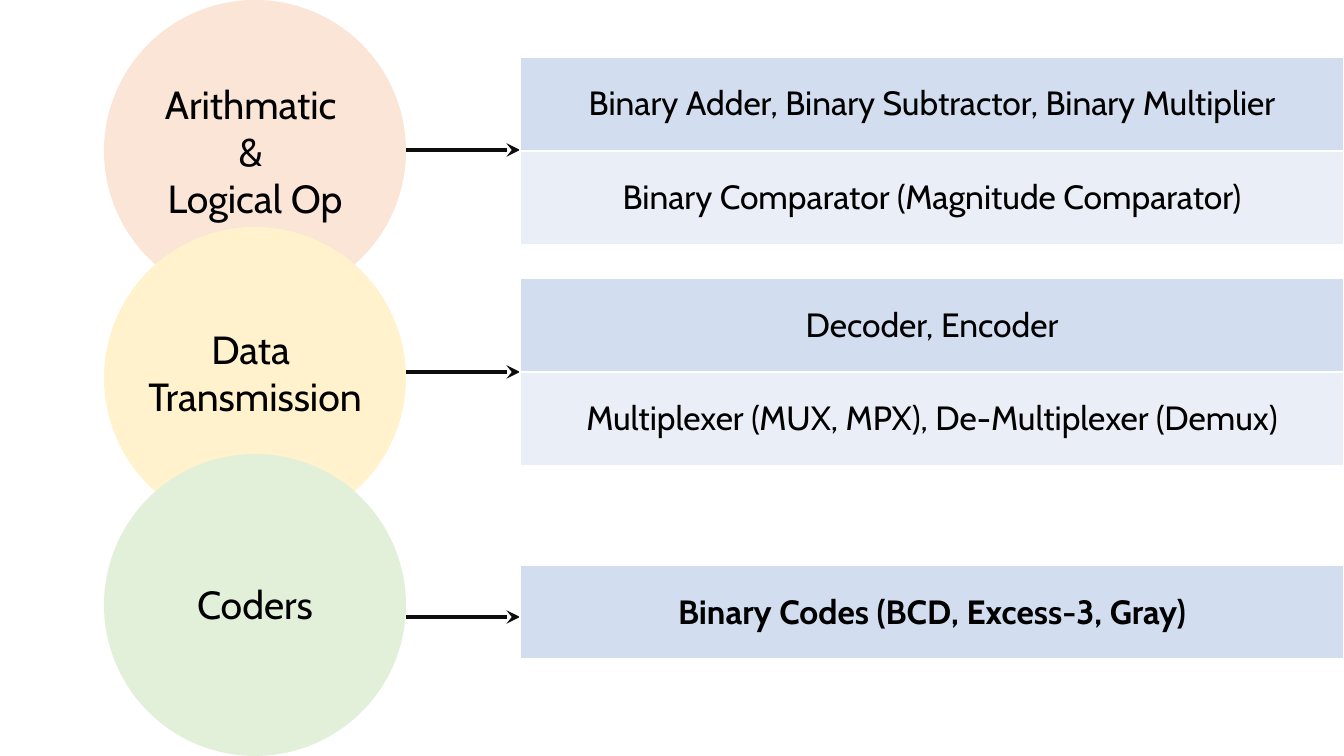
"""Build a slide that groups combinational circuits by their purpose."""
from lxml.etree import SubElement
from pptx import Presentation
from pptx.dml.color import RGBColor
from pptx.enum.shapes import MSO_CONNECTOR, MSO_SHAPE
from pptx.enum.text import MSO_ANCHOR, PP_ALIGN
from pptx.oxml.ns import qn
from pptx.util import Emu, Pt

FONT = "Cabin"
CIRCLE_LEFT, DIAMETER, CIRCLE_STEP = 104, 302, 227
LINE_HEIGHT, LABEL_PADDING = 47, 10
TABLE_LEFT, TABLE_WIDTH, ROW_HEIGHT = 520, 824, 94
ROW_FILLS = ["D2DEEF", "EAEFF7"]
TOPICS = [
    {"lines": ["Arithmatic ", "& ", "Logical Op"], "fill": "FBE5D6",
     "label_width": 212, "label_middle": 151, "arrow_y": 150, "table_top": 57,
     "rows": ["Binary Adder, Binary Subtractor, Binary Multiplier",
              "Binary Comparator (Magnitude Comparator)"], "bold": False},
    {"lines": ["Data ", "Transmission"], "fill": "FFF2CC",
     "label_width": 243, "label_middle": 372, "arrow_y": 372, "table_top": 278,
     "rows": ["Decoder, Encoder",
              "Multiplexer (MUX, MPX), De-Multiplexer (Demux)"], "bold": False},
    {"lines": ["Coders"], "fill": "E2F0D9",
     "label_width": 143, "label_middle": 604, "arrow_y": 617, "table_top": 565,
     "rows": ["Binary Codes (BCD, Excess-3, Gray)"], "bold": True},
]


def px(length):
    """Turn pixels into EMU."""
    return Emu(round(length * 914400 / 100.8))


def color(value):
    """Turn a hex string into a colour."""
    return RGBColor.from_string(value)


def write_lines(frame, lines, size, bold=False):
    """Write centred paragraphs into a text frame."""
    for index, line in enumerate(lines):
        para = frame.paragraphs[0] if index == 0 else frame.add_paragraph()
        para.text = line
        para.alignment = PP_ALIGN.CENTER
        para.font.name = FONT
        para.font.size = Pt(size)
        para.font.bold = bold
        para.font.color.rgb = color("000000")


def add_filled_shape(group, kind, left, top, width, height, fill):
    """Add a plain filled shape without an outline."""
    shape = group.shapes.add_shape(kind, px(left), px(top), px(width), px(height))
    shape.shadow.inherit = False
    shape.fill.solid()
    shape.fill.fore_color.rgb = color(fill)
    shape.line.fill.background()
    return shape


def add_circle(slide, topic, top):
    """Add a circle grouped with its label."""
    group = slide.shapes.add_group_shape()
    add_filled_shape(group, MSO_SHAPE.OVAL, CIRCLE_LEFT, top, DIAMETER, DIAMETER,
                     topic["fill"])
    width = topic["label_width"]
    height = LINE_HEIGHT * len(topic["lines"]) + LABEL_PADDING
    label = add_filled_shape(group, MSO_SHAPE.RECTANGLE,
                             CIRCLE_LEFT + (DIAMETER - width) / 2,
                             topic["label_middle"] - height / 2,
                             width, height, topic["fill"])
    label.text_frame.word_wrap = False
    label.text_frame.vertical_anchor = MSO_ANCHOR.MIDDLE
    write_lines(label.text_frame, topic["lines"], 28)


def add_arrow(slide, y):
    """Add an arrow from the circles to the tables."""
    arrow = slide.shapes.add_connector(MSO_CONNECTOR.STRAIGHT, px(CIRCLE_LEFT + DIAMETER),
                                       px(y), px(TABLE_LEFT), px(y))
    arrow.line.width = Pt(3.25)
    arrow.line.color.rgb = color("0D0D0D")
    SubElement(arrow.line._get_or_add_ln(), qn("a:tailEnd"), type="stealth")
    SubElement(arrow._element.spPr, qn("a:effectLst"))


def add_borders(cell):
    """Give a cell thin white borders."""
    properties = cell._tc.get_or_add_tcPr()
    for side in ("lnL", "lnR", "lnT", "lnB"):
        border = SubElement(properties, qn(f"a:{side}"), w=str(Pt(1)))
        fill = SubElement(border, qn("a:solidFill"))
        SubElement(fill, qn("a:srgbClr"), val="FFFFFF")


def add_topic_table(slide, topic):
    """Add the one-column table of a topic's circuits."""
    rows = topic["rows"]
    table = slide.shapes.add_table(len(rows), 1, px(TABLE_LEFT), px(topic["table_top"]),
                                   px(TABLE_WIDTH), px(ROW_HEIGHT * len(rows))).table
    table.first_row = False
    table.horz_banding = False
    for index, text in enumerate(rows):
        cell = table.cell(index, 0)
        add_borders(cell)
        cell.fill.solid()
        cell.fill.fore_color.rgb = color(ROW_FILLS[index])
        cell.vertical_anchor = MSO_ANCHOR.MIDDLE
        write_lines(cell.text_frame, [text], 24, topic["bold"])


def main():
    """Build and save the deck."""
    deck = Presentation()
    deck.slide_width, deck.slide_height = px(1344), px(756)
    slide = deck.slides.add_slide(deck.slide_layouts[6])
    for index, topic in enumerate(TOPICS):
        add_circle(slide, topic, index * CIRCLE_STEP)
        add_arrow(slide, topic["arrow_y"])
        add_topic_table(slide, topic)
    deck.save("out.pptx")


if __name__ == "__main__":
    main()
